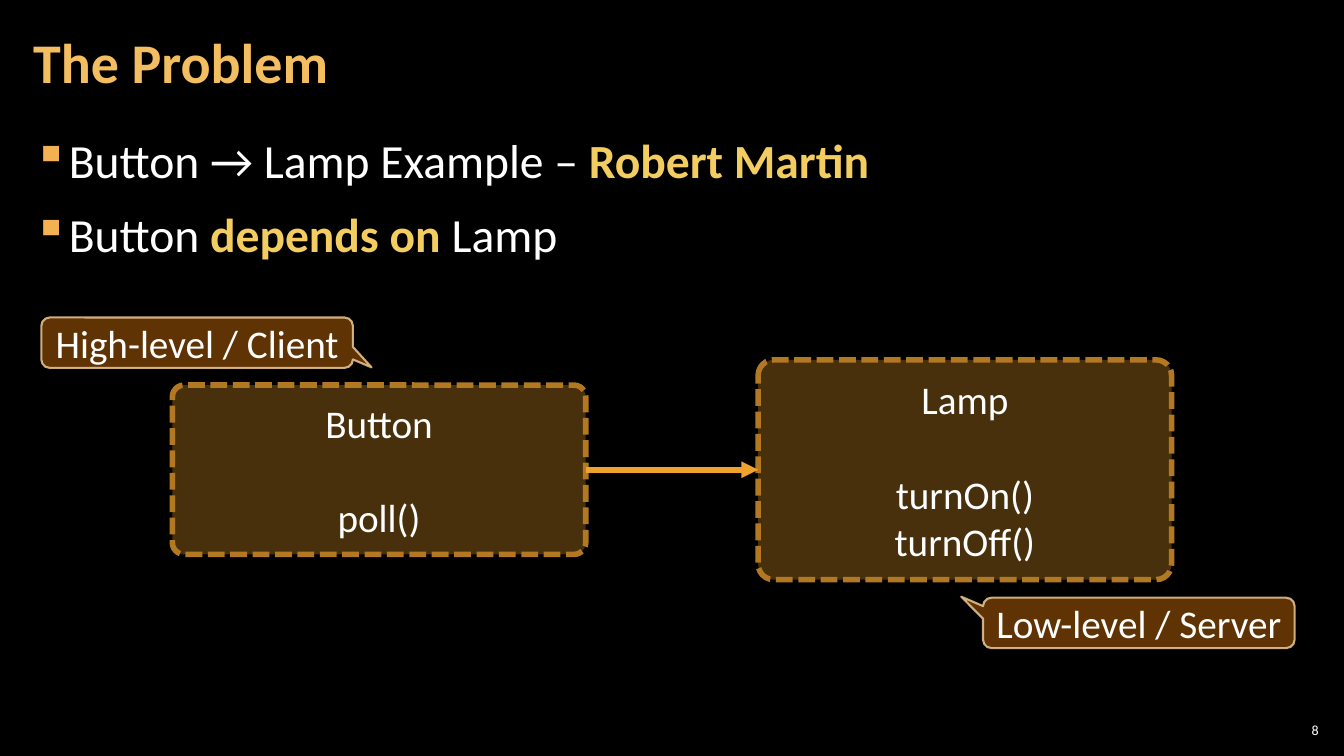
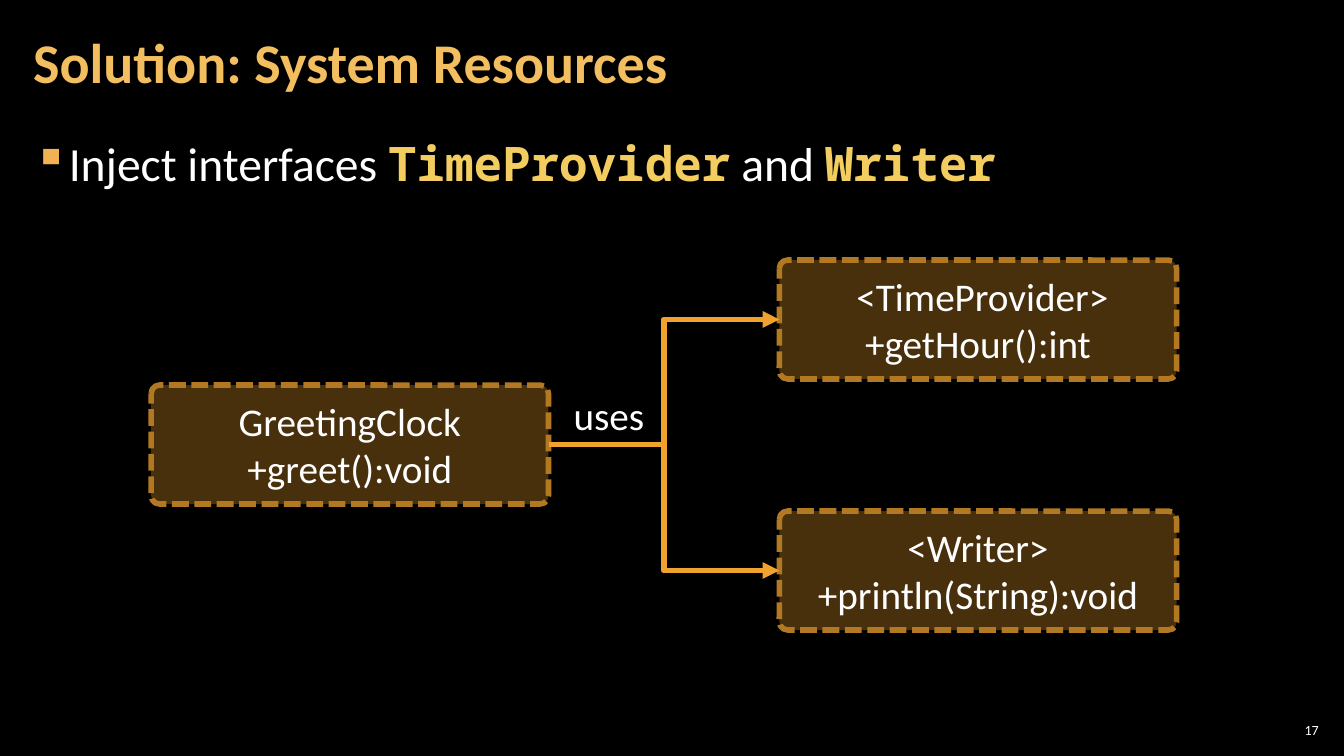
import pptx
import pptx.util
import pptx.dml.color
import pptx.enum.dml
import pptx.enum.shapes
import pptx.enum.text
import pptx.oxml.ns
import lxml.etree

Inches, Pt = pptx.util.Inches, pptx.util.Pt
qn = pptx.oxml.ns.qn
SHAPES = pptx.enum.shapes.MSO_SHAPE
CONNECTORS = pptx.enum.shapes.MSO_CONNECTOR
ALIGN = pptx.enum.text.PP_ALIGN
ANCHOR = pptx.enum.text.MSO_ANCHOR

BLACK, WHITE = "000000", "FFFFFF"
TITLE, ACCENT, BULLET = "F3BE60", "F3CD60", "F2B254"
BOX_FILL, BOX_EDGE, ARROW = "F0A22E", "B27822", "F0A22E"
CALLOUT_FILL, CALLOUT_EDGE = "663606", "F8D49E"
FONT, CODE_FONT = "Calibri", "Noto Sans Mono"
LABEL_SIZE = 28
MEMBER_GAP = 34
PLAIN, STRONG, CODE = (FONT, WHITE, False), (FONT, ACCENT, True), (CODE_FONT, ACCENT, True)
HEADING = (FONT, TITLE, True)
TEXT_INSETS = (0.12, 0.04)
ROUNDING = 0.07

SLIDES = [
    {
        "title": "The Problem",
        "number": "8",
        "line_spacing": 1.0,
        "bullets": [
            [("Button → Lamp Example – ", PLAIN), ("Robert Martin", STRONG)],
            [("Button ", PLAIN), ("depends on", STRONG), (" Lamp", PLAIN)],
        ],
        "member_gap": MEMBER_GAP,
        "classes": {
            "button": ((1.71, 3.82, 4.1, 1.68), ["Button", "poll()"]),
            "lamp": ((7.52, 3.57, 4.1, 2.18), ["Lamp", "turnOn()", "turnOff()"]),
        },
        "arrows": [("button", "lamp", CONNECTORS.STRAIGHT)],
        "callouts": [
            ("High-level / Client", (0.41, 3.15), (0.56, 0.49)),
            ("Low-level / Server", (9.75, 5.93), (-0.57, -0.52)),
        ],
        "labels": [],
    },
    {
        "title": "Solution: System Resources",
        "number": "17",
        "line_spacing": 1.05,
        "bullets": [
            [("Inject interfaces ", PLAIN), ("TimeProvider", CODE),
             (" and ", PLAIN), ("Writer", CODE)],
        ],
        "member_gap": 0,
        "classes": {
            "writer": ((7.73, 5.07, 3.94, 1.18), ["<Writer>", "+println(String):void"]),
            "time": ((7.73, 2.58, 3.94, 1.18), [" <TimeProvider>", "+getHour():int"]),
            "clock": ((1.5, 3.82, 3.94, 1.18), ["GreetingClock", "+greet():void"]),
        },
        "arrows": [("clock", "writer", CONNECTORS.ELBOW), ("clock", "time", CONNECTORS.ELBOW)],
        "callouts": [],
        "labels": [("uses", (5.59, 3.83, 0.91, 0.57))],
    },
]


def color(value):
    return pptx.dml.color.RGBColor.from_string(value)


def inches(values):
    return [Inches(value) for value in values]


def add_run(paragraph, text, size, style=PLAIN):
    run = paragraph.add_run()
    run.text = text
    run.font.size = Pt(size)
    run.font.name, tint, run.font.bold = style
    run.font.color.rgb = color(tint)


def add_text(slide, at, anchor, insets=None, wrap=True):
    frame = slide.shapes.add_textbox(*inches(at)).text_frame
    frame.word_wrap = wrap
    frame.vertical_anchor = anchor
    if insets:
        frame.margin_left = frame.margin_right = Inches(insets[0])
        frame.margin_top = frame.margin_bottom = Inches(insets[1])
    return frame


def set_opacity(shape, steps, percent):
    tint = shape.element.spPr.find("/".join(qn(step) for step in steps))
    lxml.etree.SubElement(tint, qn("a:alpha"), val=str(percent * 1000))


def add_panel(slide, preset, at, fill, opacity, edge, edge_width):
    panel = slide.shapes.add_shape(preset, *inches(at))
    panel.shadow.inherit = False
    panel.fill.solid()
    panel.fill.fore_color.rgb = color(fill)
    set_opacity(panel, ["a:solidFill", "a:srgbClr"], opacity)
    panel.line.color.rgb = color(edge)
    panel.line.width = Pt(edge_width)
    panel.text_frame.vertical_anchor = ANCHOR.MIDDLE
    return panel


def add_lines(frame, lines, gap=0):
    for index, text in enumerate(lines):
        paragraph = frame.add_paragraph() if index else frame.paragraphs[0]
        paragraph.alignment = ALIGN.CENTER
        if index == 1:
            paragraph.space_before = Pt(gap)
        add_run(paragraph, text, LABEL_SIZE)


def add_class(slide, at, lines, gap):
    panel = add_panel(slide, SHAPES.ROUNDED_RECTANGLE, at, BOX_FILL, 30, BOX_EDGE, 4)
    panel.adjustments[0] = ROUNDING
    panel.line.dash_style = pptx.enum.dml.MSO_LINE.SQUARE_DOT
    add_lines(panel.text_frame, lines, gap)
    return panel


def add_callout(slide, text, corner, pointer):
    panel = add_panel(slide, SHAPES.ROUNDED_RECTANGULAR_CALLOUT, (*corner, 3.09, 0.5),
                      CALLOUT_FILL, 95, CALLOUT_EDGE, 1.5)
    set_opacity(panel, ["a:ln", "a:solidFill", "a:srgbClr"], 80)
    panel.adjustments[0], panel.adjustments[1] = pointer
    add_lines(panel.text_frame, [text])


def add_arrow(slide, source, target, route):
    arrow = slide.shapes.add_connector(route, 0, 0, 0, 0)
    arrow.begin_connect(source, 3)
    arrow.end_connect(target, 1)
    arrow.line.color.rgb = color(ARROW)
    arrow.line.width = Pt(4)
    properties = arrow.element.spPr
    lxml.etree.SubElement(properties.find(qn("a:ln")), qn("a:tailEnd"), type="triangle")
    lxml.etree.SubElement(properties, qn("a:effectLst"))


def add_bullets(slide, bullets, line_spacing):
    frame = add_text(slide, (0.21, 1.26, 12.91, 6.09), ANCHOR.TOP, TEXT_INSETS)
    for index, runs in enumerate(bullets):
        paragraph = frame.add_paragraph() if index else frame.paragraphs[0]
        paragraph.space_before = paragraph.space_after = Pt(6)
        paragraph.line_spacing = line_spacing
        properties = paragraph._p.get_or_add_pPr()
        properties.set("marL", str(Inches(0.33)))
        properties.set("indent", str(Inches(-0.33)))
        tint = lxml.etree.SubElement(properties, qn("a:buClr"))
        lxml.etree.SubElement(tint, qn("a:srgbClr"), val=BULLET)
        lxml.etree.SubElement(properties, qn("a:buChar"), char="▪")
        for text, style in runs:
            add_run(paragraph, text, 34, style)


def add_title(slide, text):
    title = add_text(slide, (0.21, 0.04, 10.47, 1.21), ANCHOR.MIDDLE, TEXT_INSETS).paragraphs[0]
    title.line_spacing = 0.9
    add_run(title, text, 40, HEADING)


def add_number(slide, text):
    number = add_text(slide, (12.65, 7.14, 0.47, 0.21), ANCHOR.MIDDLE, (0.04, 0.04)).paragraphs[0]
    number.alignment = ALIGN.RIGHT
    add_run(number, text, 10)


def build_slide(deck, content):
    slide = deck.slides.add_slide(deck.slide_layouts[6])
    add_title(slide, content["title"])
    add_bullets(slide, content["bullets"], content["line_spacing"])
    add_number(slide, content["number"])
    classes = {
        key: add_class(slide, at, lines, content["member_gap"])
        for key, (at, lines) in content["classes"].items()
    }
    for source, target, route in content["arrows"]:
        add_arrow(slide, classes[source], classes[target], route)
    for callout in content["callouts"]:
        add_callout(slide, *callout)
    for text, at in content["labels"]:
        add_run(add_text(slide, at, ANCHOR.TOP, wrap=False).paragraphs[0], text, LABEL_SIZE)


def main():
    deck = pptx.Presentation()
    deck.slide_width, deck.slide_height = inches((13.33, 7.5))
    backdrop = deck.slide_master.background.fill
    backdrop.solid()
    backdrop.fore_color.rgb = color(BLACK)
    for content in SLIDES:
        build_slide(deck, content)
    deck.save("out.pptx")


if __name__ == "__main__":
    main()
